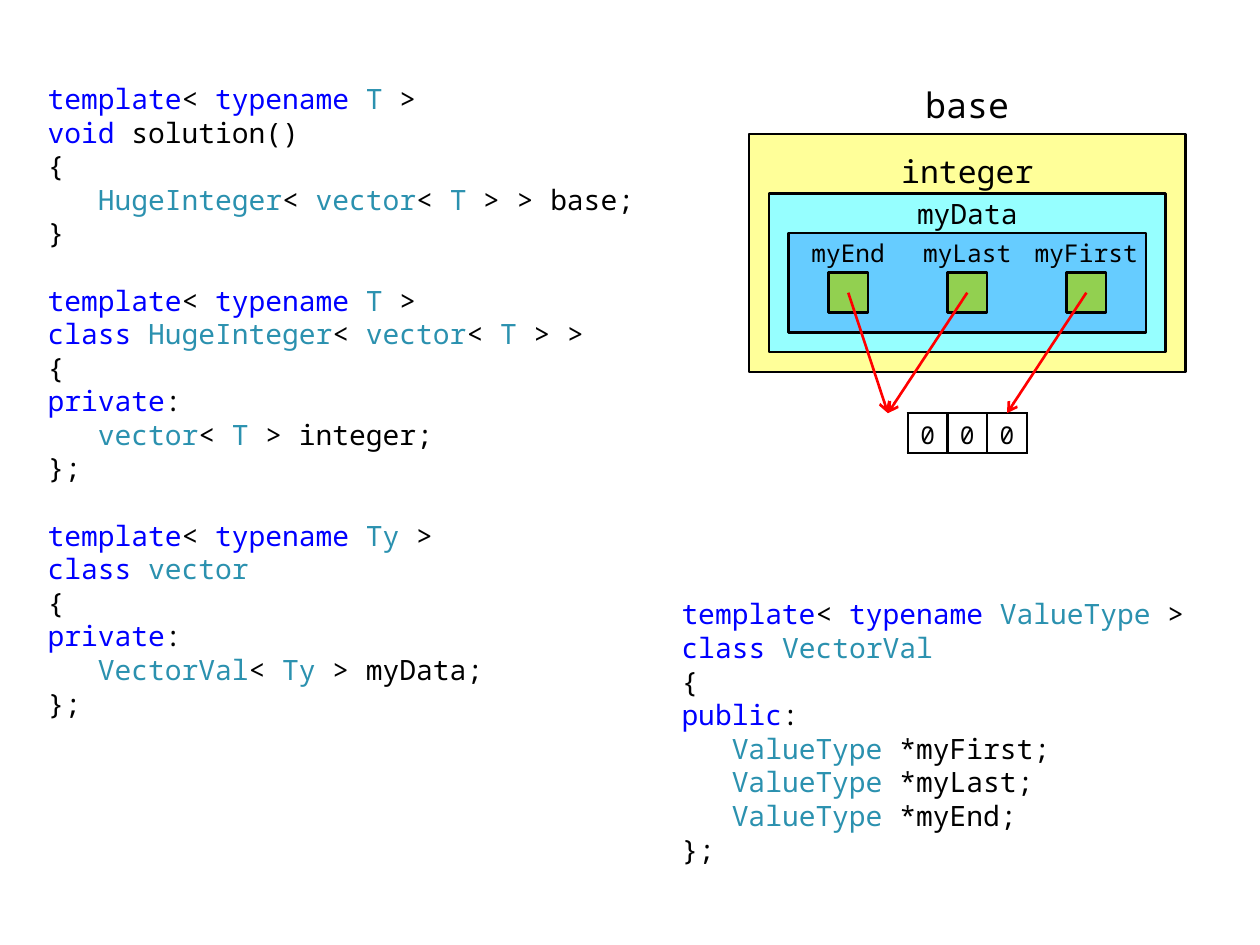
"""Build a slide showing how HugeInteger, vector and VectorVal nest in memory."""
import lxml.etree
import pptx
import pptx.dml.color
import pptx.enum.shapes
import pptx.enum.text
import pptx.oxml
import pptx.oxml.ns
import pptx.util

Cm, Pt = pptx.util.Cm, pptx.util.Pt
RGB = pptx.dml.color.RGBColor
Kind = pptx.enum.shapes.MSO_SHAPE
qn = pptx.oxml.ns.qn

FONT = "Noto Sans Mono"
BLACK = RGB(0, 0, 0)
BLUE = RGB(0, 0, 255)
TEAL = RGB(0x2B, 0x91, 0xAF)
RED = RGB(255, 0, 0)
YELLOW = RGB(0xFF, 0xFF, 0x99)
CYAN = RGB(0x96, 0xFF, 0xFF)
SKY = RGB(0x66, 0xCC, 0xFF)
GREEN = RGB(0x92, 0xD0, 0x50)


def key(text):
    return text, BLUE


def kind(text):
    return text, TEAL


def plain(text):
    return text, BLACK


def head(name):
    return [key("template"), plain("< "), key("typename "), kind(name), plain(" >")]


def field(name):
    return [plain("   "), kind("ValueType"), plain(f" *{name};")]


OPEN, CLOSE, END = [plain("{")], [plain("}")], [plain("};")]
PRIVATE = [key("private"), plain(":")]
VECTOR = [plain("< "), kind("vector"), plain("< "), kind("T")]

USAGE = [
    [head("T"),
     [key("void "), plain("solution()")],
     OPEN,
     [plain("   "), kind("HugeInteger"), *VECTOR, plain(" > > base;")],
     CLOSE],
    [head("T"),
     [key("class "), kind("HugeInteger"), *VECTOR, plain(" > >")],
     OPEN,
     PRIVATE,
     [plain("   "), kind("vector"), plain("< "), kind("T "), plain("> integer;")],
     END],
    [head("Ty"),
     [key("class "), kind("vector")],
     OPEN,
     PRIVATE,
     [plain("   "), kind("VectorVal"), plain("< "), kind("Ty"), plain(" > myData;")],
     END],
]
VALUE = [
    [head("ValueType"),
     [key("class "), kind("VectorVal")],
     OPEN,
     [key("public"), plain(":")],
     *[field(name) for name in ("myFirst", "myLast", "myEnd")],
     END],
]
CODES = [(USAGE, 0.71, 1.52, 12.4, 14), (VALUE, 13.49, 11.91, 11.2, 5.59)]

LAYERS = [(2.7, 8.8, 4.8, YELLOW), (3.9, 8, 3.2, CYAN), (4.7, 7.2, 2, SKY)]
TITLES = [("base", 1.5, 5.6, 1.2, 20, 0.13),
          ("integer", 2.7, 3.2, 1.2, 18, 0.3),
          ("myData", 3.9, 3.2, 0.8, 16, 0)]
FIELDS = [("myEnd", 17.9), ("myLast", 17.9), ("myFirst", 20.3)]
DIGITS = ["0", "0", "0"]

MID = 19.5
UNIT = 0.8
STEP = 3 * UNIT
ROW = 4.7
STORE = 8.33
LINE = Pt(19.2)


def write(para, text, size, color=BLACK):
    run = para.add_run()
    run.text = text
    run.font.name = FONT
    run.font.size = Pt(size)
    run.font.color.rgb = color


def code(slide, blocks, left, top, width, height):
    frame = slide.shapes.add_textbox(Cm(left), Cm(top), Cm(width), Cm(height)).text_frame
    frame.word_wrap = True
    para = None
    for block in blocks:
        for num, line in enumerate(block):
            gap = LINE if para is not None and num == 0 else Pt(0)
            para = frame.paragraphs[0] if para is None else frame.add_paragraph()
            para.line_spacing = LINE
            para.space_before = gap
            for text, color in line:
                write(para, text, 16, color)


def box(slide, shape, left, top, width, height, fill):
    item = slide.shapes.add_shape(shape, Cm(left), Cm(top), Cm(width), Cm(height))
    item.shadow.inherit = False
    item.fill.solid()
    item.fill.fore_color.rgb = fill
    item.line.color.rgb = BLACK
    item.line.width = Pt(1.5)


def label(slide, text, mid, top, width, height, size, above=0, below=0, side=0.1):
    item = slide.shapes.add_textbox(Cm(mid - width / 2), Cm(top), Cm(width), Cm(height))
    frame = item.text_frame
    frame.word_wrap = True
    frame.vertical_anchor = pptx.enum.text.MSO_ANCHOR.MIDDLE
    frame.margin_left = frame.margin_right = Cm(side)
    frame.margin_top, frame.margin_bottom = Cm(above), Cm(below)
    para = frame.paragraphs[0]
    para.alignment = pptx.enum.text.PP_ALIGN.CENTER
    write(para, text, size)


def arrow(slide, start, end):
    ends = [Cm(val) for val in (*start, *end)]
    item = slide.shapes.add_connector(pptx.enum.shapes.MSO_CONNECTOR.STRAIGHT, *ends)
    item.line.color.rgb = RED
    item.line.width = Pt(1.5)
    tail = lxml.etree.SubElement(item.line._get_or_add_ln(), qn("a:tailEnd"))
    tail.set("type", "arrow")
    lxml.etree.SubElement(item._element.spPr, qn("a:effectLst"))


def border(cell):
    props = cell._tc.get_or_add_tcPr()
    for num, side in enumerate(("a:lnL", "a:lnR", "a:lnT", "a:lnB")):
        edge = lxml.etree.Element(qn(side), w=str(Pt(1.5)))
        fill = lxml.etree.SubElement(edge, qn("a:solidFill"))
        lxml.etree.SubElement(fill, qn("a:srgbClr"), val=str(BLACK))
        props.insert(num, edge)


def store(slide):
    size = len(DIGITS)
    table = slide.shapes.add_table(1, size, Cm(MID - UNIT * size / 2), Cm(STORE),
                                   Cm(UNIT * size), Cm(UNIT)).table
    table.first_row = table.horz_banding = False
    for num, digit in enumerate(DIGITS):
        table.columns[num].width = Cm(UNIT)
        cell = table.cell(0, num)
        cell.fill.background()
        cell.vertical_anchor = pptx.enum.text.MSO_ANCHOR.MIDDLE
        cell.margin_left = cell.margin_right = Cm(0.15)
        cell.margin_top = cell.margin_bottom = Cm(0.1)
        para = cell.text_frame.paragraphs[0]
        para.alignment = pptx.enum.text.PP_ALIGN.CENTER
        write(para, digit, 14)
        border(cell)


def main():
    deck = pptx.Presentation()
    deck.slide_width, deck.slide_height = Cm(25.4), Cm(19.05)
    slide = deck.slides.add_slide(deck.slide_layouts[6])
    for part in CODES:
        code(slide, *part)
    for top, width, height, fill in LAYERS:
        box(slide, Kind.FLOWCHART_PROCESS, MID - width / 2, top, width, height, fill)
    for text, top, width, height, size, above in TITLES:
        label(slide, text, MID, top, width, height, size, above,
              above if text == "base" else 0, 0.2)
    store(slide)
    spots = [MID + (num - 1) * STEP for num in range(len(FIELDS))]
    for (name, _), mid in zip(FIELDS, spots):
        label(slide, name, mid, ROW, STEP, UNIT, 14, 0.13, 0.13)
        box(slide, Kind.RECTANGLE, mid - UNIT / 2, ROW + UNIT, UNIT, UNIT, GREEN)
    for (_, goal), mid in zip(FIELDS, spots):
        arrow(slide, (mid, ROW + 1.5 * UNIT), (goal, STORE))
    deck.save("out.pptx")


if __name__ == "__main__":
    main()
